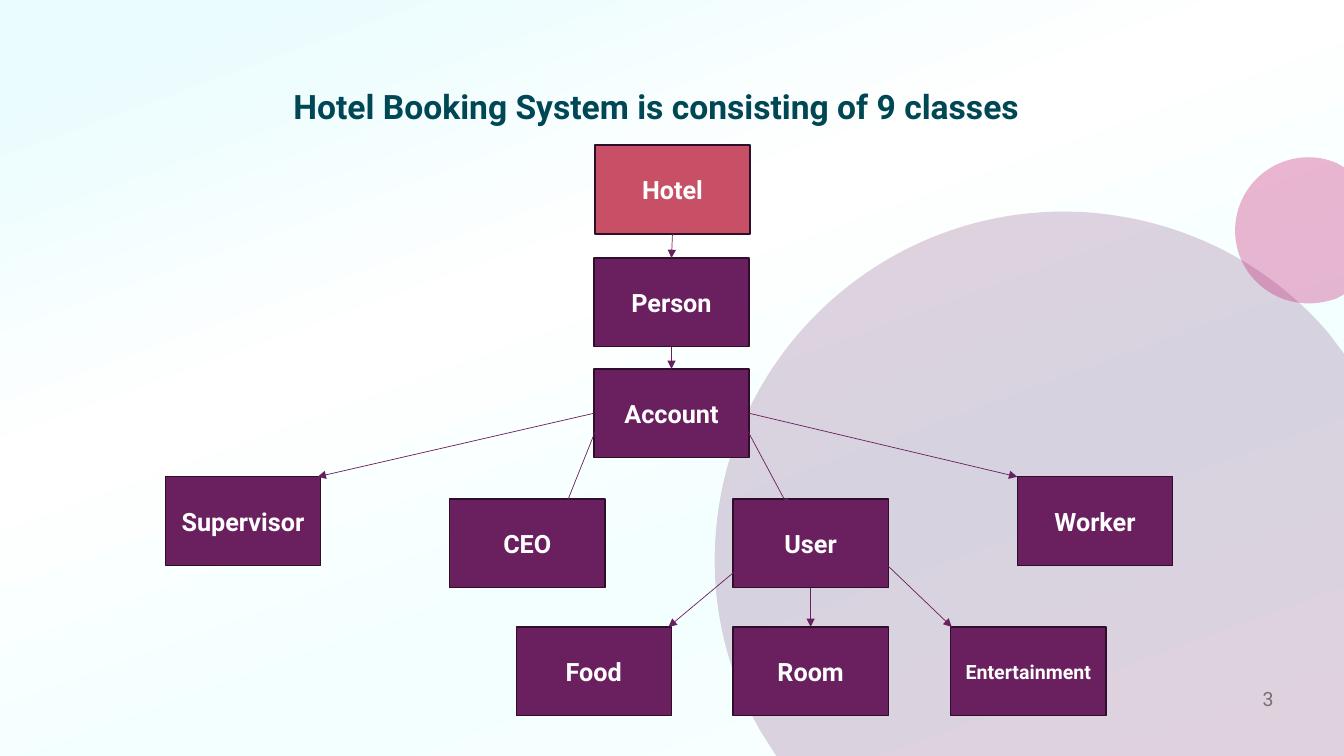
from copy import deepcopy

from pptx import Presentation
from pptx.dml.color import RGBColor
from pptx.enum.shapes import MSO_CONNECTOR, MSO_SHAPE
from pptx.enum.text import MSO_ANCHOR, MSO_AUTO_SIZE, PP_ALIGN
from pptx.oxml.ns import qn
from pptx.oxml.xmlchemy import OxmlElement
from pptx.util import Inches, Pt

PLUM = RGBColor(0x6A, 0x20, 0x5F)
DARK_PLUM = RGBColor(0x2E, 0x0E, 0x2A)
ROSE = RGBColor(0xC7, 0x4F, 0x66)
PINK = RGBColor(0xC4, 0x0C, 0x67)
TEAL = RGBColor(0x00, 0x47, 0x56)
GRAY = RGBColor(0x76, 0x71, 0x71)
WHITE = RGBColor(0xFF, 0xFF, 0xFF)
BACKDROP = [
    (0.07, RGBColor(0xEA, 0xFC, 0xFE)),
    (0.38, WHITE),
    (0.66, RGBColor(0xF3, 0xFF, 0xFF)),
    (1.0, RGBColor(0xFD, 0xFF, 0xFE)),
]
BOX_WIDTH, BOX_HEIGHT = 1.54, 0.88
TOP, LEFT, BOTTOM, RIGHT = range(4)

LARGE_CIRCLE = [
    [(10.47, 2.1)],
    [(10.59, 2.1), (10.71, 2.1), (10.82, 2.11)],
    [(11.78, 2.19), (12.61, 2.64), (13.18, 3.31)],
    [(13.33, 3.51)],
    [(13.33, 7.5)],
    [(7.7, 7.5)],
    [(7.54, 7.25)],
    [(7.21, 6.67), (7.04, 5.99), (7.1, 5.28)],
    [(7.24, 3.5), (8.72, 2.14), (10.47, 2.1)],
]
SMALL_CIRCLE = [
    [(12.98, 1.56)],
    [(13.08, 1.56), (13.17, 1.58), (13.26, 1.62)],
    [(13.33, 1.66)],
    [(13.33, 2.92)],
    [(13.26, 2.96)],
    [(13.17, 2.99), (13.08, 3.01), (12.98, 3.01)],
    [(12.58, 3.01), (12.25, 2.69), (12.25, 2.29)],
    [(12.25, 1.88), (12.58, 1.56), (12.98, 1.56)],
]

CLASSES = {
    "Person": (5.89, 2.56),
    "Account": (5.89, 3.66),
    "CEO": (4.46, 4.95),
    "Supervisor": (1.64, 4.73),
    "Worker": (10.09, 4.73),
    "User": (7.27, 4.95),
    "Entertainment": (9.43, 6.22),
    "Room": (7.27, 6.22),
    "Food": (5.12, 6.22),
    "Hotel": (5.9, 1.44),
}
STRAIGHT_DOWN = [("Hotel", "Person"), ("Person", "Account"), ("User", "Room")]
FROM_ACCOUNT_SIDES = [(LEFT, (3.15, 4.73)), (RIGHT, (10.09, 4.73))]
SLANTED = [
    ((5.92, 4.24), (5.56, 5.14)),
    ((7.29, 4.04), (7.82, 5.03)),
    ((8.72, 5.53), (9.44, 6.22)),
    ((7.55, 5.45), (6.63, 6.22)),
]


def write(frame, text, size=18, color=WHITE, bold=True,
          align=PP_ALIGN.CENTER, anchor=MSO_ANCHOR.MIDDLE):
    frame.word_wrap = True
    frame.auto_size = MSO_AUTO_SIZE.NONE
    frame.vertical_anchor = anchor
    paragraph = frame.paragraphs[0]
    paragraph.alignment = align
    run = paragraph.add_run()
    run.text = text
    run.font.name = "Roboto"
    run.font.size = Pt(size)
    run.font.bold = bold
    run.font.color.rgb = color


class ClassDiagram:
    def __init__(self, slide):
        self.slide = slide
        self.shapes = slide.shapes
        self.boxes = {}

    def backdrop(self, stops):
        fill = self.slide.background.fill
        fill.gradient()
        fill.gradient_angle = 290
        stop_list = self.slide.element.find(".//" + qn("a:gsLst"))
        while len(stop_list) < len(stops):
            stop_list.append(deepcopy(stop_list[0]))
        for stop, (position, color) in zip(fill.gradient_stops, stops):
            stop.position = position
            stop.color.rgb = color

    def cropped_circle(self, segments, color, opacity):
        start, *others = [(Inches(x), Inches(y))
                          for segment in segments for x, y in segment]
        builder = self.shapes.build_freeform(*start)
        builder.add_line_segments(others, close=True)
        circle = builder.convert_to_shape()
        steps = iter(circle.element.findall(".//" + qn("a:lnTo")))
        for segment in segments[1:]:
            first, *rest = [next(steps) for _ in segment]
            if rest:
                curve = OxmlElement("a:cubicBezTo")
                first.addprevious(curve)
                for step in (first, *rest):
                    curve.append(step[0])
                    step.getparent().remove(step)
        circle.shadow.inherit = False
        circle.line.fill.background()
        circle.fill.solid()
        circle.fill.fore_color.rgb = color
        alpha = OxmlElement("a:alpha")
        alpha.set("val", str(opacity * 1000))
        circle.element.spPr.find(".//" + qn("a:srgbClr")).append(alpha)

    def title(self, text, left, top, width, height):
        heading = self.shapes.title
        heading.left, heading.top = Inches(left), Inches(top)
        heading.width, heading.height = Inches(width), Inches(height)
        write(heading.text_frame, text, size=24, color=TEAL,
              align=PP_ALIGN.LEFT, anchor=MSO_ANCHOR.TOP)

    def page_number(self, text, left, top, width, height):
        number = self.shapes.add_textbox(
            Inches(left), Inches(top), Inches(width), Inches(height))
        write(number.text_frame, text, size=14, color=GRAY, bold=False,
              align=PP_ALIGN.RIGHT, anchor=MSO_ANCHOR.TOP)

    def box(self, name, left, top, color=PLUM, size=18):
        box = self.shapes.add_shape(
            MSO_SHAPE.RECTANGLE, Inches(left), Inches(top),
            Inches(BOX_WIDTH), Inches(BOX_HEIGHT))
        box.shadow.inherit = False
        box.fill.solid()
        box.fill.fore_color.rgb = color
        box.line.color.rgb = DARK_PLUM
        box.line.width = Pt(1)
        write(box.text_frame, name, size=size)
        self.boxes[name] = box

    def arrow(self, start=(0, 0), end=(0, 0), begin_at=None, end_at=None):
        arrow = self.shapes.add_connector(
            MSO_CONNECTOR.STRAIGHT, *map(Inches, (*start, *end)))
        if begin_at:
            arrow.begin_connect(self.boxes[begin_at[0]], begin_at[1])
        if end_at:
            arrow.end_connect(self.boxes[end_at[0]], end_at[1])
        arrow.line.color.rgb = PLUM
        arrow.line.width = Pt(0.5)
        head = OxmlElement("a:tailEnd")
        head.set("type", "triangle")
        arrow.element.spPr.find(qn("a:ln")).append(head)
        arrow.element.spPr.append(OxmlElement("a:effectLst"))


def main():
    presentation = Presentation()
    presentation.slide_width = Inches(13.33)
    presentation.slide_height = Inches(7.5)
    diagram = ClassDiagram(
        presentation.slides.add_slide(presentation.slide_layouts[5]))

    diagram.backdrop(BACKDROP)
    diagram.cropped_circle(LARGE_CIRCLE, PLUM, 20)
    diagram.cropped_circle(SMALL_CIRCLE, PINK, 30)
    diagram.title("Hotel Booking System is consisting of 9 classes",
                  2.81, 0.8, 7.71, 0.5)
    diagram.page_number("3", 9.73, 6.77, 3, 0.4)

    for name, (left, top) in CLASSES.items():
        diagram.box(name, left, top,
                    color=ROSE if name == "Hotel" else PLUM,
                    size=14 if name == "Entertainment" else 18)
    for parent, child in STRAIGHT_DOWN:
        diagram.arrow(begin_at=(parent, BOTTOM), end_at=(child, TOP))
    for side, end in FROM_ACCOUNT_SIDES:
        diagram.arrow(end=end, begin_at=("Account", side))
    for start, end in SLANTED:
        diagram.arrow(start, end)

    presentation.save("out.pptx")


if __name__ == "__main__":
    main()
